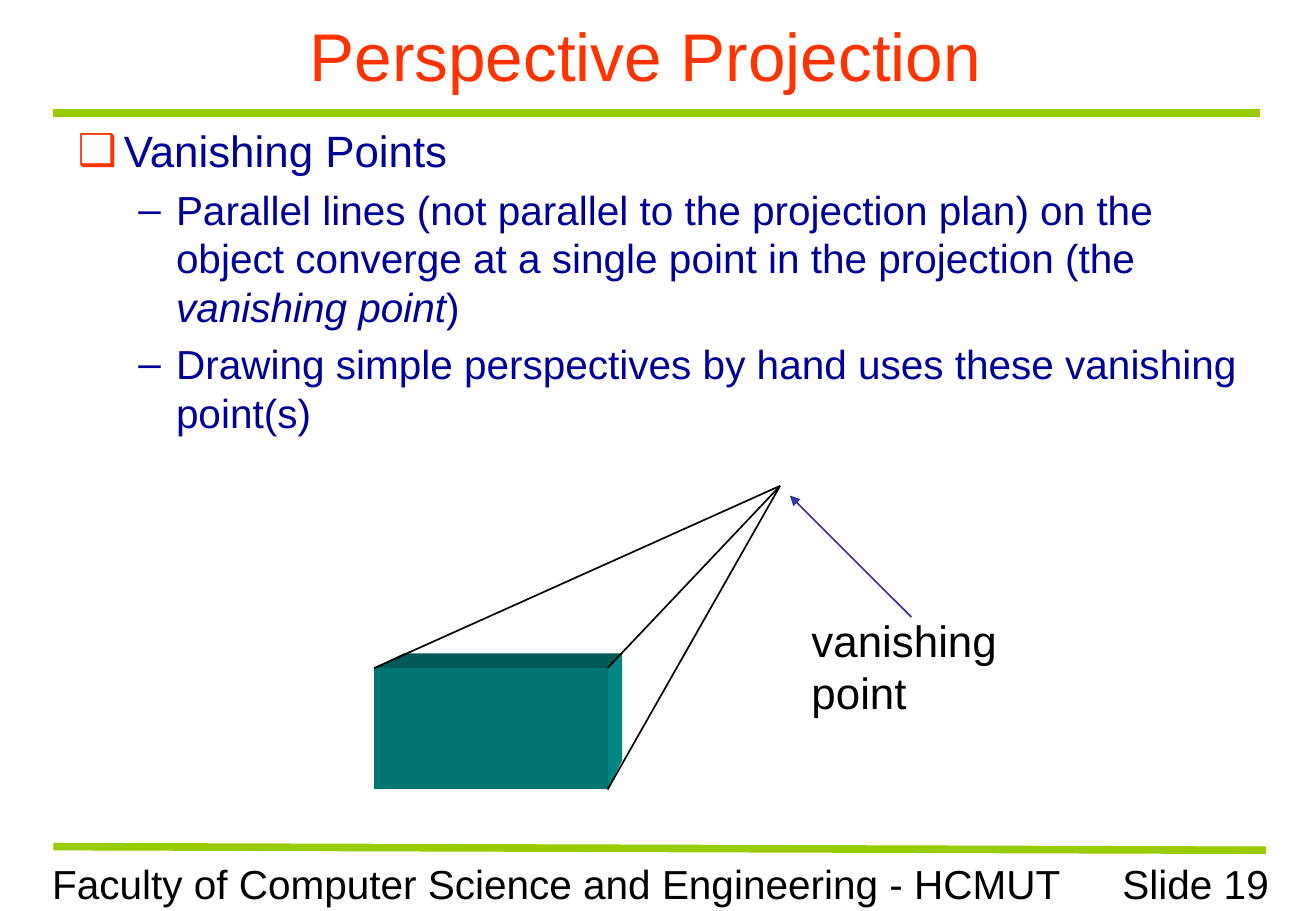
from lxml.etree import SubElement
from pptx import Presentation
from pptx.dml.color import RGBColor
from pptx.enum.shapes import MSO_CONNECTOR
from pptx.enum.text import MSO_ANCHOR, PP_ALIGN
from pptx.oxml.ns import qn
from pptx.util import Inches, Pt

BLACK = RGBColor(0x00, 0x00, 0x00)
ORANGE = RGBColor(0xFF, 0x33, 0x00)
NAVY = RGBColor(0x00, 0x00, 0x99)
GREEN = RGBColor(0x99, 0xCC, 0x00)
ARROW_BLUE = RGBColor(0x33, 0x33, 0x99)
FRONT_TEAL = RGBColor(0x00, 0x75, 0x72)
TOP_TEAL = RGBColor(0x00, 0x5A, 0x58)
SIDE_TEAL = RGBColor(0x00, 0x85, 0x82)


def style(paragraph, size, color, align=PP_ALIGN.LEFT):
    paragraph.alignment = align
    paragraph.font.name = "Arial"
    paragraph.font.size = Pt(size)
    paragraph.font.color.rgb = color


def add_text_frame(slide, left, top, width, height):
    frame = slide.shapes.add_textbox(
        Inches(left), Inches(top), Inches(width), Inches(height)).text_frame
    frame.word_wrap = True
    return frame


def add_label(slide, box, text, size, color, align=PP_ALIGN.LEFT,
              anchor=MSO_ANCHOR.TOP):
    frame = add_text_frame(slide, *box)
    frame.vertical_anchor = anchor
    paragraph = frame.paragraphs[0]
    paragraph.text = text
    style(paragraph, size, color, align)


def add_line(slide, start, end, color, width, arrow=False):
    line = slide.shapes.add_connector(
        MSO_CONNECTOR.STRAIGHT, *(Inches(value) for value in (*start, *end)))
    line.line.color.rgb = color
    line.line.width = Pt(width)
    if arrow:
        SubElement(line.line._get_or_add_ln(), qn("a:tailEnd"), type="triangle")
    SubElement(line._element.spPr, qn("a:effectLst"))


def add_face(slide, corners, color):
    points = [(Inches(x), Inches(y)) for x, y in corners]
    builder = slide.shapes.build_freeform(*points[0])
    builder.add_line_segments(points[1:], close=True)
    face = builder.convert_to_shape()
    face.shadow.inherit = False
    face.fill.solid()
    face.fill.fore_color.rgb = color
    face.line.fill.background()


def set_bullet(paragraph, symbol, margin, indent, color=None):
    properties = paragraph._p.get_or_add_pPr()
    properties.set("marL", str(Inches(margin)))
    properties.set("indent", str(Inches(indent)))
    if color is not None:
        bullet_color = SubElement(properties, qn("a:buClr"))
        SubElement(bullet_color, qn("a:srgbClr"), val=str(color))
    SubElement(properties, qn("a:buFont"), typeface="Arial")
    SubElement(properties, qn("a:buChar"), char=symbol)


def add_header(slide, left, top, width):
    add_label(slide, (left, top, width, 0.7), "Perspective Projection", 40,
              ORANGE, PP_ALIGN.CENTER, MSO_ANCHOR.MIDDLE)
    rule = top + 0.83
    add_line(slide, (left + 0.11, rule), (left + 10.04, rule), GREEN, 4.5)


def add_footer(slide, left, top):
    add_line(slide, (left + 0.11, top - 0.05), (left + 10.09, top - 0.02),
             GREEN, 4.5)
    add_label(slide, (left, top, 8.52, 0.5),
              "Faculty of Computer Science and Engineering - HCMUT", 24, BLACK)
    add_label(slide, (left + 8.22, top, 1.99, 0.5), "Slide 19", 24, BLACK,
              PP_ALIGN.RIGHT)


def add_body(slide, left, top, width, height):
    frame = add_text_frame(slide, left, top, width, height)
    topic = frame.paragraphs[0]
    topic.text = "Vanishing Points"
    set_bullet(topic, "❑", 0.38, -0.38, ORANGE)
    style(topic, 26, NAVY)

    points = [
        [("Parallel lines (not parallel to the projection plan) on the object "
          "converge at a single point in the projection (the ", False),
         ("vanishing point", True), (")", False)],
        [("Drawing simple perspectives by hand uses these vanishing point(s)",
          False)],
    ]
    for parts in points:
        point = frame.add_paragraph()
        point.level = 1
        point.space_before = Pt(5)
        set_bullet(point, "–", 0.81, -0.31)
        style(point, 24, NAVY)
        for text, italic in parts:
            run = point.add_run()
            run.text = text
            if italic:
                run.font.italic = True


def add_vanishing_diagram(slide, left, top):
    """Draw a block whose edges meet at a vanishing point."""
    vanishing = (left + 3.34, top)
    near_left, near_right = left, left + 1.92
    near_top, near_bottom = top + 1.5, top + 2.5
    depth = 0.12
    top_left = (near_left, near_top)
    top_right = (near_right, near_top)
    bottom_right = (near_right, near_bottom)
    far_left = (near_left + 2 * depth, near_top - depth)
    far_right = (near_right + depth, near_top - depth)
    far_bottom = (near_right + depth, near_bottom - 2 * depth)

    add_face(slide, [top_left, far_left, far_right, top_right], TOP_TEAL)
    add_face(slide, [top_right, far_right, far_bottom, bottom_right], SIDE_TEAL)
    add_face(slide, [top_left, top_right, bottom_right,
                     (near_left, near_bottom)], FRONT_TEAL)
    for corner in (bottom_right, top_right, top_left):
        add_line(slide, corner, vanishing, BLACK, 1)

    add_line(slide, (left + 4.42, top + 1.08), (left + 3.42, top + 0.08),
             ARROW_BLUE, 1, arrow=True)
    add_label(slide, (left + 3.5, top + 1, 2.43, 0.95), "vanishing point", 26,
              BLACK)


def main():
    presentation = Presentation()
    presentation.slide_width = Inches(10.83)
    presentation.slide_height = Inches(7.5)
    slide = presentation.slides.add_slide(presentation.slide_layouts[6])
    add_footer(slide, 0.33, 7.02)
    add_header(slide, 0.33, 0.1, 9.96)
    add_body(slide, 0.54, 0.97, 9.75, 2.87)
    add_vanishing_diagram(slide, 3.08, 4)
    presentation.save("out.pptx")


if __name__ == "__main__":
    main()
